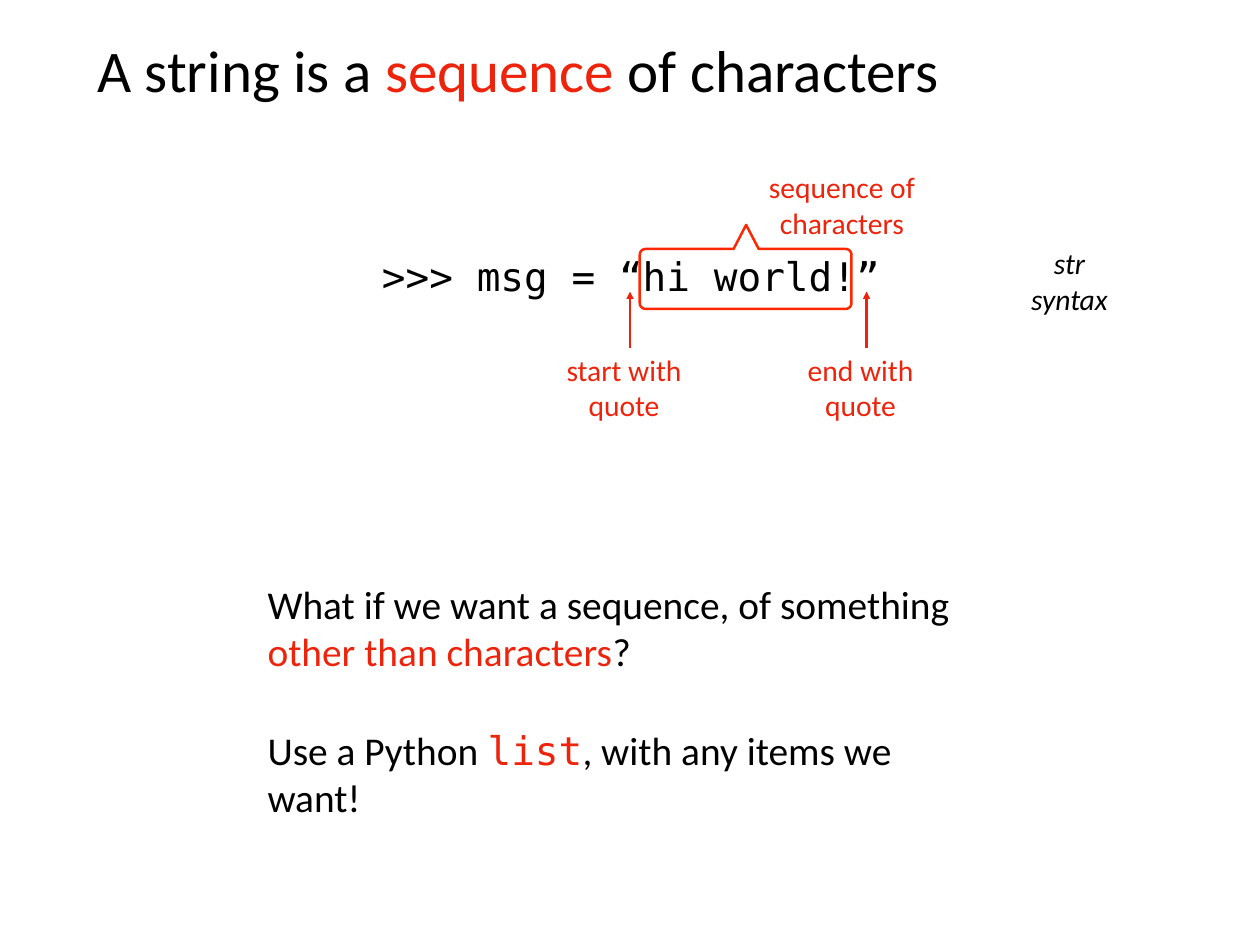
from dataclasses import dataclass
from math import cos, radians, sin

from lxml.etree import SubElement
from pptx import Presentation
from pptx.dml.color import RGBColor
from pptx.enum.shapes import MSO_CONNECTOR as Connector
from pptx.enum.text import MSO_ANCHOR as Anchor, PP_ALIGN as Align
from pptx.oxml.ns import qn
from pptx.util import Cm, Pt


@dataclass(frozen=True)
class Theme:
    ink: RGBColor = RGBColor(0x00, 0x00, 0x00)
    accent: RGBColor = RGBColor(0xEE, 0x23, 0x0C)
    outline: RGBColor = RGBColor(0xFF, 0x26, 0x00)
    sans: str = "Calibri"
    mono: str = "DejaVu Sans Mono"
    title: int = 48
    body: int = 32
    note: int = 24
    line: int = 2
    inset: float = 0.15


THEME = Theme()


def add_text(slide, box, paragraphs, size, font=THEME.sans, color=THEME.ink,
             italic=False, align=Align.LEFT, anchor=Anchor.TOP, gap=0):
    """Each paragraph is a list of runs: (text, optional color, optional font)."""
    frame = slide.shapes.add_textbox(*map(Cm, box)).text_frame
    frame.word_wrap = True
    frame.vertical_anchor = anchor
    frame.margin_left = frame.margin_right = Cm(THEME.inset)
    frame.margin_top = frame.margin_bottom = Cm(THEME.inset)
    for index, runs in enumerate(paragraphs):
        paragraph = frame.add_paragraph() if index else frame.paragraphs[0]
        paragraph.alignment = align
        paragraph.space_before = Pt(gap if index else 0)
        for text, run_color, run_font in runs:
            if text == "\n":
                paragraph.add_line_break()
                continue
            run = paragraph.add_run()
            run.text = text
            run.font.size = Pt(size)
            run.font.name = run_font or font
            run.font.italic = italic
            run.font.color.rgb = run_color or color


def plain(text):
    return (text, None, None)


def accented(text, font=None):
    return (text, THEME.accent, font)


def add_note(slide, box, *lines, **style):
    style = {"color": THEME.accent, **style}
    add_text(slide, box, [[plain(line)] for line in lines], THEME.note,
             align=Align.CENTER, anchor=Anchor.MIDDLE, **style)


def add_up_arrow(slide, x, bottom, top):
    arrow = slide.shapes.add_connector(
        Connector.STRAIGHT, Cm(x), Cm(bottom), Cm(x), Cm(top))
    arrow.line.color.rgb = THEME.accent
    arrow.line.width = Pt(THEME.line)
    SubElement(arrow.line._get_or_add_ln(), qn("a:tailEnd"), type="triangle")
    SubElement(arrow._element.spPr, qn("a:effectLst"))


def add_callout(slide, box, tip, half_base=0.36, radius=0.17):
    """Rounded frame with a pointer on its top edge."""
    left, top, width, height = box
    right, bottom = left + width, top + height
    tip_x, tip_y = tip
    # Corners run counter-clockwise from the pointer, each with its start angle
    corners = [(left + radius, top + radius, 270),
               (left + radius, bottom - radius, 180),
               (right - radius, bottom - radius, 90),
               (right - radius, top + radius, 0)]
    points = [(tip_x - half_base, top)]
    for x, y, start in corners:
        for step in range(0, 91, 15):
            angle = radians(start - step)
            points.append((x + radius * cos(angle), y + radius * sin(angle)))
    points.append((tip_x + half_base, top))

    builder = slide.shapes.build_freeform(Cm(tip_x), Cm(tip_y))
    builder.add_line_segments([(Cm(x), Cm(y)) for x, y in points], close=True)
    callout = builder.convert_to_shape()
    callout.shadow.inherit = False
    callout.fill.background()
    callout.line.color.rgb = THEME.outline
    callout.line.width = Pt(THEME.line)


def add_title(slide, box):
    add_text(slide, box,
             [[plain("A string is a "), accented("sequence"), plain(" of characters")]],
             THEME.title, anchor=Anchor.MIDDLE)


def add_syntax_diagram(slide, box):
    left, top, width, height = box
    # Code line
    add_text(slide, (left, top + 1.86, 15.21, 2.97),
             [[plain(">>> msg = “hi world!”")]], THEME.body, font=THEME.mono)

    # Quotes: an arrow to each, with its label below
    arrow_tip, arrow_foot, label_width = top + 3.13, top + 4.75, 3.9
    for x, word in ((left + 7.26, "start with"), (left + 14.04, "end with")):
        add_up_arrow(slide, x, arrow_foot, arrow_tip)
        add_note(slide, (x - 0.17 - label_width / 2, arrow_foot, label_width, 2.26),
                 word, "quote")

    # Characters between the quotes
    add_callout(slide, (left + 7.54, top + 1.91, 6.07, 1.72),
                tip=(left + 10.59, top + 1.22))
    add_note(slide, (left + 9.22, top, 8.23, 1.27), "sequence of characters")

    # Caption at the right end
    caption_width = 3
    add_note(slide, (left + width - caption_width, top + 1.62, caption_width, 2.4),
             "str syntax", color=THEME.ink, italic=True)


def add_question(slide, box):
    add_text(slide, box, [
        [plain("What if we want a sequence, of something"), plain("\n"),
         accented("other than characters"), plain("?")],
        [plain("Use a Python "), accented("list", THEME.mono),
         plain(", with any items we want!")],
    ], THEME.body, gap=42)


def main():
    deck = Presentation()
    deck.slide_width, deck.slide_height = Cm(36.12), Cm(27.1)
    slide = deck.slides.add_slide(deck.slide_layouts[6])
    add_title(slide, (2.64, 0.71, 30.84, 2.51))
    add_syntax_diagram(slide, (10.8, 5.23, 21.36, 7.01))
    add_question(slide, (7.52, 16.48, 20.3, 7.3))
    deck.save("out.pptx")


if __name__ == "__main__":
    main()
